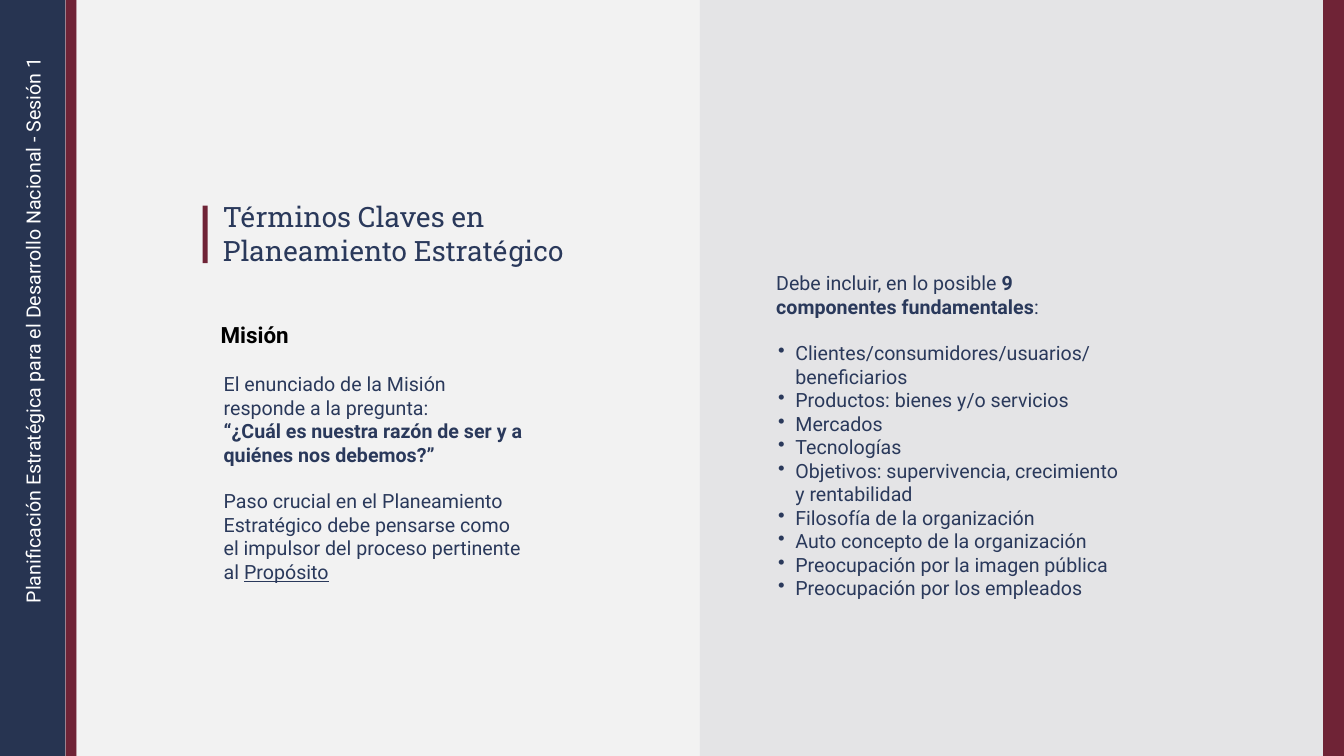
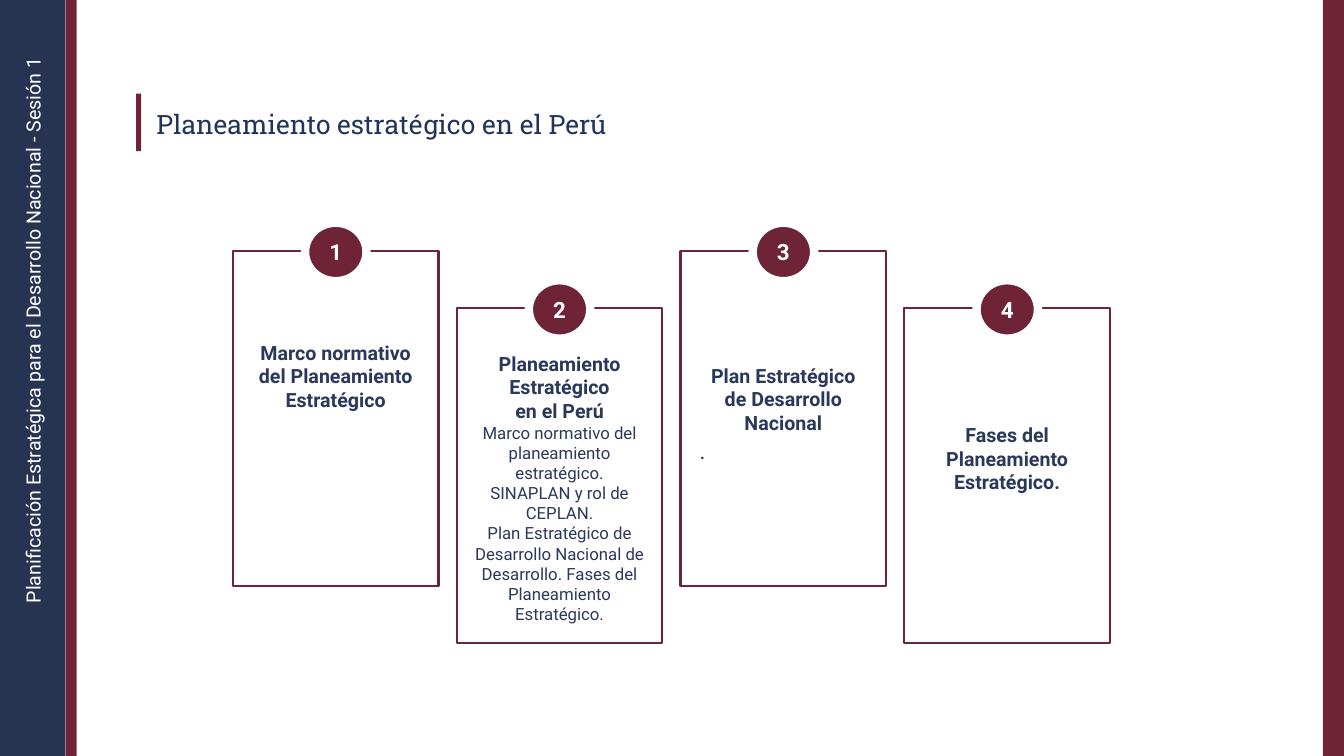
from dataclasses import dataclass

from lxml import etree
from pptx import Presentation
from pptx.dml.color import RGBColor
from pptx.enum.shapes import MSO_SHAPE
from pptx.enum.text import MSO_ANCHOR, PP_ALIGN
from pptx.oxml.ns import qn
from pptx.util import Inches, Pt

RECTANGLE, OVAL = MSO_SHAPE.RECTANGLE, MSO_SHAPE.OVAL
LEFT, CENTER, RIGHT = PP_ALIGN.LEFT, PP_ALIGN.CENTER, PP_ALIGN.RIGHT
TOP, MIDDLE = MSO_ANCHOR.TOP, MSO_ANCHOR.MIDDLE

NAVY = RGBColor(0x27, 0x34, 0x51)
INK = RGBColor(0x2A, 0x39, 0x5B)
TITLE_BLUE = RGBColor(0x1F, 0x35, 0x5C)
MAROON = RGBColor(0x6F, 0x23, 0x36)
WHITE = RGBColor(0xFF, 0xFF, 0xFF)
BLACK = RGBColor(0x00, 0x00, 0x00)
LIGHT_PANEL = RGBColor(0xF2, 0xF2, 0xF2)
DARK_PANEL = RGBColor(0xE4, 0xE4, 0xE6)

BODY_FONT, TITLE_FONT = "Roboto", "Roboto Slab"
SLIDE_WIDTH, SLIDE_HEIGHT = 13.33, 7.5
COURSE = "Planificación Estratégica para el Desarrollo Nacional - Sesión 1"
BLANK_LINE = 16.4

CARD_LEFT, CARD_TOP = 2.31, 2.49
CARD_WIDTH, CARD_HEIGHT = 2.04, 3.32
CARD_PITCH, CARD_STAGGER = 2.22, 0.57
BADGE_WIDTH, BADGE_HEIGHT, BADGE_RISE = 0.61, 0.58, 0.28


@dataclass(frozen=True)
class Run:
    text: str
    bold: bool = False
    underline: bool = False


@dataclass(frozen=True)
class Paragraph:
    runs: tuple[Run, ...]
    size: float = 14
    color: RGBColor = INK
    align: PP_ALIGN = LEFT
    bullet: bool = False
    space_before: float = 0
    line_spacing: float = 1


@dataclass(frozen=True)
class Card:
    text_top: float
    text_width: float
    paragraphs: tuple[Paragraph, ...]


def plain(text: str, **style) -> Paragraph:
    return Paragraph((Run(text),), **style)


def bold(text: str, **style) -> Paragraph:
    return Paragraph((Run(text, bold=True),), **style)


MISSION = (
    plain("El enunciado de la Misión responde a la pregunta:"),
    bold("“¿Cuál es nuestra razón de ser y a quiénes nos debemos?”"),
    Paragraph(
        (
            Run("Paso crucial en el Planeamiento Estratégico debe pensarse "
                "como el impulsor del proceso pertinente al "),
            Run("Propósito", underline=True),
        ),
        space_before=BLANK_LINE,
    ),
)

COMPONENTS = (
    "Clientes/consumidores/usuarios/ beneficiarios",
    "Productos: bienes y/o servicios",
    "Mercados",
    "Tecnologías",
    "Objetivos: supervivencia, crecimiento y rentabilidad",
    "Filosofía de la organización",
    "Auto concepto de la organización",
    "Preocupación por la imagen pública",
    "Preocupación por los empleados",
)

CARDS = (
    Card(3.33, 1.66, (
        bold("Marco normativo del Planeamiento Estratégico", align=CENTER),
    )),
    Card(3.44, 1.79, (
        bold("Planeamiento Estratégico", align=CENTER),
        bold("en el Perú", align=CENTER),
        plain("Marco normativo del planeamiento estratégico.",
              size=12, align=CENTER),
        plain("SINAPLAN y rol de CEPLAN.", size=12, align=CENTER),
        plain("Plan Estratégico de Desarrollo Nacional de Desarrollo. "
              "Fases del Planeamiento Estratégico.", size=12, align=CENTER),
    )),
    Card(3.56, 1.66, (
        bold("Plan Estratégico de Desarrollo Nacional", align=CENTER),
        plain(".", size=16, color=NAVY, space_before=4.5, line_spacing=0.86),
    )),
    Card(4.15, 1.66, (
        bold("Fases del Planeamiento Estratégico.", align=CENTER),
    )),
)


def add_block(slide, left: float, top: float, width: float, height: float,
              fill: RGBColor, line: RGBColor | None = None,
              line_width: float = 1.5, kind: MSO_SHAPE = RECTANGLE):
    block = slide.shapes.add_shape(
        kind, Inches(left), Inches(top), Inches(width), Inches(height))
    block.shadow.inherit = False
    block.fill.solid()
    block.fill.fore_color.rgb = fill
    if line is None:
        block.line.fill.background()
    else:
        block.line.color.rgb = line
        block.line.width = Pt(line_width)
    return block


def add_bullet(paragraph) -> None:
    properties = paragraph._p.get_or_add_pPr()
    properties.set("marL", str(Inches(0.19)))
    properties.set("indent", str(Inches(-0.17)))
    etree.SubElement(properties, qn("a:buChar")).set("char", "•")


def write(frame, paragraphs: tuple[Paragraph, ...],
          font_name: str = BODY_FONT) -> None:
    """Fill an empty text frame with styled paragraphs."""
    frame.word_wrap = True
    for index, content in enumerate(paragraphs):
        paragraph = frame.add_paragraph() if index else frame.paragraphs[0]
        paragraph.alignment = content.align
        paragraph.line_spacing = content.line_spacing
        if content.space_before:
            paragraph.space_before = Pt(content.space_before)
        if content.bullet:
            add_bullet(paragraph)
        paragraph.font.name = font_name
        paragraph.font.size = Pt(content.size)
        paragraph.font.color.rgb = content.color
        for part in content.runs:
            run = paragraph.add_run()
            run.text = part.text
            if part.bold:
                run.font.bold = True
            if part.underline:
                run.font.underline = True


def add_text(slide, left: float, top: float, width: float, height: float,
             paragraphs: tuple[Paragraph, ...]):
    box = slide.shapes.add_textbox(
        Inches(left), Inches(top), Inches(width), Inches(height))
    write(box.text_frame, paragraphs)
    return box


def add_slide(presentation):
    """Add a title-only slide with the side bands and the course name."""
    slide = presentation.slides.add_slide(presentation.slide_layouts[5])
    for left, width, color in (
            (0, 0.65, NAVY), (13.12, 0.21, MAROON), (0.65, 0.11, MAROON)):
        add_block(slide, left, 0, width, SLIDE_HEIGHT, color)
    course = add_text(slide, -2.81, 3.44, 6.28, 0.34,
                      (plain(COURSE, color=WHITE, align=RIGHT),))
    course.rotation = 270
    return slide


def set_title(slide, left: float, top: float, width: float, height: float,
              bar_top: float, lines: tuple[Paragraph, ...]) -> None:
    """Place the title in front of the panels, with its accent bar."""
    add_block(slide, left - 0.1, bar_top, 0.05, 0.57, MAROON)
    title = slide.shapes.title
    slide.shapes._spTree.append(title._element)
    title.left, title.top = Inches(left), Inches(top)
    title.width, title.height = Inches(width), Inches(height)
    title.text_frame.vertical_anchor = TOP
    write(title.text_frame, lines, TITLE_FONT)


def add_card(slide, index: int, card: Card) -> None:
    left = CARD_LEFT + index * CARD_PITCH
    top = CARD_TOP + index % 2 * CARD_STAGGER
    center = left + CARD_WIDTH / 2
    add_block(slide, left, top, CARD_WIDTH, CARD_HEIGHT, WHITE, MAROON)

    badge = add_block(slide, center - BADGE_WIDTH / 2, top - BADGE_RISE,
                      BADGE_WIDTH, BADGE_HEIGHT, MAROON, WHITE, 6, OVAL)
    badge.text_frame.vertical_anchor = MIDDLE
    write(badge.text_frame,
          (bold(str(index + 1), size=16, color=WHITE, align=CENTER),))

    text = add_text(slide, center - card.text_width / 2, card.text_top,
                    card.text_width, top + CARD_HEIGHT - card.text_top - 0.15,
                    card.paragraphs)
    frame = text.text_frame
    frame.margin_left = frame.margin_right = frame.margin_bottom = 0


def build_mission_slide(presentation) -> None:
    slide = add_slide(presentation)
    add_block(slide, 0.76, 0, 6.18, SLIDE_HEIGHT, LIGHT_PANEL)
    add_block(slide, 6.94, 0, 6.18, SLIDE_HEIGHT, DARK_PANEL)
    set_title(slide, 2.11, 1.93, 6.66, 0.77, 2.04, (
        plain("Términos Claves en", size=20),
        plain("Planeamiento Estratégico", size=20),
    ))
    add_text(slide, 2.09, 3.14, 1.21, 0.37,
             (bold("Misión", size=16, color=BLACK),))
    add_text(slide, 2.12, 3.64, 3.19, 2.25, MISSION)

    introduction = Paragraph((
        Run("Debe incluir, en lo posible "),
        Run("9 componentes fundamentales", bold=True),
        Run(":"),
    ))
    components = tuple(
        plain(text, bullet=True, space_before=0 if index else BLANK_LINE)
        for index, text in enumerate(COMPONENTS))
    add_text(slide, 7.6, 2.64, 3.68, 3.4, (introduction, *components))


def build_peru_slide(presentation) -> None:
    slide = add_slide(presentation)
    set_title(slide, 1.45, 1.02, 7.21, 0.42, 0.93, (
        plain("Planeamiento estratégico en el Perú",
              size=19, color=TITLE_BLUE),
    ))
    for index, card in enumerate(CARDS):
        add_card(slide, index, card)


def main() -> None:
    presentation = Presentation()
    presentation.slide_width = Inches(SLIDE_WIDTH)
    presentation.slide_height = Inches(SLIDE_HEIGHT)
    build_mission_slide(presentation)
    build_peru_slide(presentation)
    presentation.save("out.pptx")


if __name__ == "__main__":
    main()
